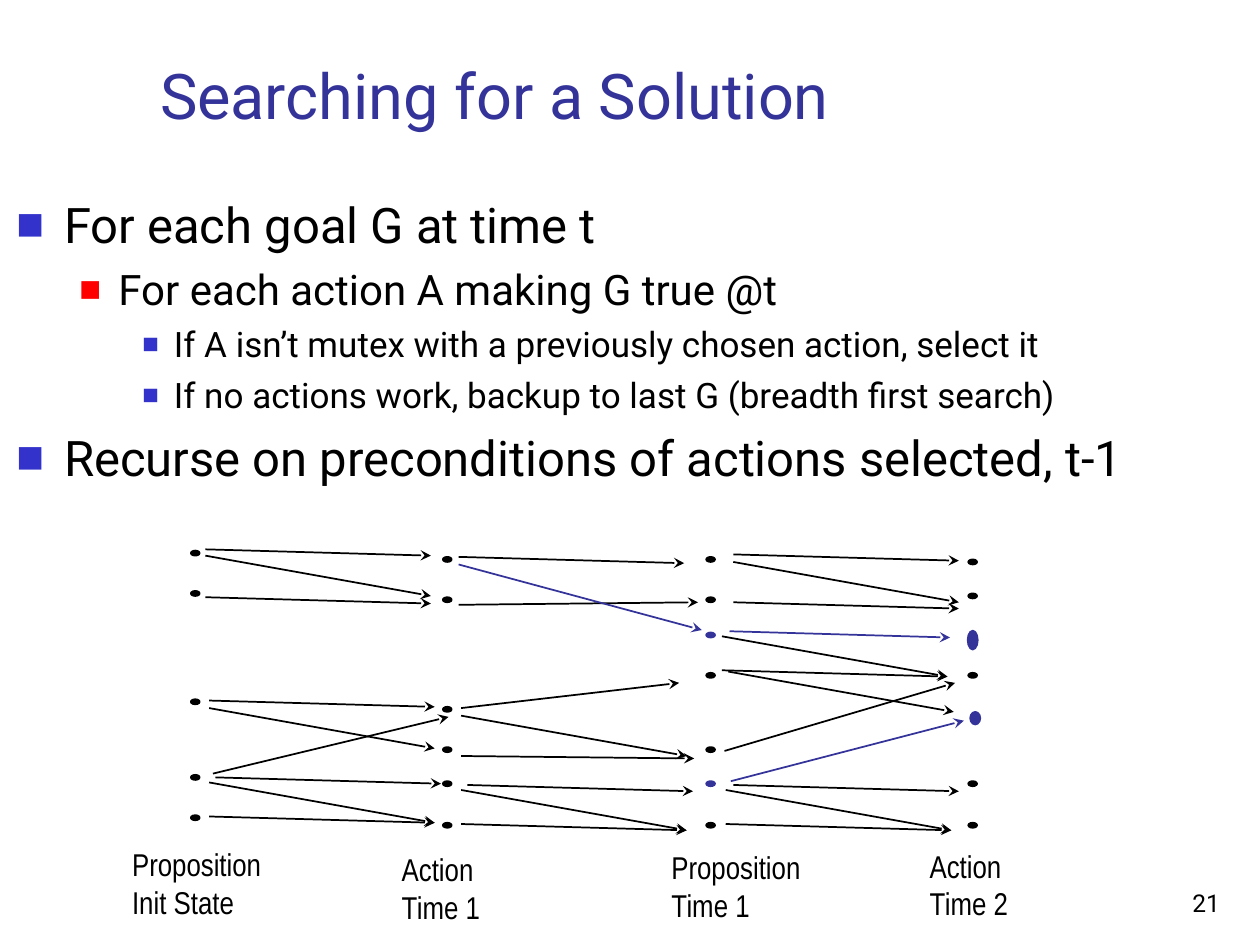
from lxml import etree
from pptx import Presentation
from pptx import util as u
from pptx.dml.color import RGBColor
from pptx.enum import shapes, text
from pptx.oxml.ns import qn

BLACK, NAVY, BLUE, RED = "000000", "333399", "3333CC", "FF0000"
WIDTH, HEIGHT = 10, 7.5

# Outline levels: text size, space before, left margin, hang, bullet colour, bullet percent
LEVELS = [(28, 7, 0.38, 0.38, BLUE, 60),
          (24, 6, 0.81, 0.31, RED, 55),
          (20, 5, 1.25, 0.25, BLUE, 50)]
OUTLINE = [(0, "For each goal G at time t"),
           (1, "For each action A making G true @t"),
           (2, "If A isn’t mutex with a previously chosen action, select it"),
           (2, "If no actions work, backup to last G (breadth first search)"),
           (0, "Recurse on preconditions of actions selected, t-1")]

# The planning graph has four layers, each a column of nodes
LAYERS = [1.55, 3.55, 5.64, 7.72]
DOT = (0.07, 0.04)
NODES = [[4.39, 4.71, 5.57, 6.17, 6.49],
         [4.44, 4.76, 5.63, 5.95, 6.22, 6.55],
         [4.44, 4.76, 5.36, 5.95, 6.55],
         [4.46, 4.73, 5.36, 6.22, 6.55]]
CHOSEN_NODES = [(5.64, 5.04, DOT), (5.64, 6.22, DOT),
                (7.72, 5.08, (0.08, 0.15)), (7.74, 5.7, (0.08, 0.1))]

# Arrows as layer, offset from the layer, and height of the start
GENTLE, STEEP = (1.79, 0.05), (1.79, 0.32)
GENTLE_STARTS = [(0, 0.08, 4.36), (0, 0.08, 4.74), (0, 0.11, 5.56),
                 (0, 0.16, 6.17), (0, 0.11, 6.48),
                 (1, 0.09, 4.42), (1, 0.16, 6.23), (1, 0.11, 6.54),
                 (2, 0.18, 4.4), (2, 0.18, 4.78), (2, 0.09, 5.32),
                 (2, 0.18, 6.23), (2, 0.12, 6.54)]
STEEP_STARTS = [(0, 0.08, 4.41), (0, 0.11, 5.62), (0, 0.11, 6.21),
                (1, 0.11, 5.68), (1, 0.11, 6.27),
                (2, 0.18, 4.46), (2, 0.09, 5.05), (2, 0.14, 5.33),
                (2, 0.12, 6.27)]
# Arrows with a run and drop of their own
OTHER_ARROWS = [(0, 0.14, 6.14, 1.87, -0.45, BLACK),
                (1, 0.09, 4.8, 1.9, -0.02, BLACK),
                (1, 0.09, 4.48, 1.93, 0.52, NAVY),
                (1, 0.11, 5.62, 1.73, -0.2, BLACK),
                (1, 0.11, 6, 1.85, 0.02, BLACK),
                (2, 0.11, 5.96, 1.83, -0.54, BLACK),
                (2, 0.15, 5.01, 1.75, 0.05, NAVY),
                (2, 0.16, 6.2, 1.85, -0.48, NAVY)]

LABELS = [(0.95, 6.66, 1.23, ["Proposition", "Init State"]),
          (3.09, 6.7, 0.83, ["Action", "Time 1"]),
          (5.23, 6.68, 1.23, ["Proposition", "Time 1"]),
          (7.28, 6.67, 0.83, ["Action", "Time 2"])]


def colour(value):
    return RGBColor.from_string(value)


def place(shape, left, top, width, height):
    shape.left, shape.top = u.Inches(left), u.Inches(top)
    shape.width, shape.height = u.Inches(width), u.Inches(height)


def add_span(para, words, size, font="Roboto", hue=BLACK):
    span = para.add_run()
    span.text = words
    span.font.size = u.Pt(size)
    span.font.name = font
    span.font.color.rgb = colour(hue)


def add_bullet(para, margin, hang, hue, percent):
    props = para._p.get_or_add_pPr()
    props.set("marL", str(u.Inches(margin)))
    props.set("indent", str(-u.Inches(hang)))
    tint = etree.SubElement(props, qn("a:buClr"))
    etree.SubElement(tint, qn("a:srgbClr"), val=hue)
    etree.SubElement(props, qn("a:buSzPct"), val=str(percent * 1000))
    etree.SubElement(props, qn("a:buFont"), typeface="Roboto")
    etree.SubElement(props, qn("a:buChar"), char="■")


def fill_title(title):
    place(title, 1.17, 0.5, 8.52, 0.5)
    frame = title.text_frame
    frame.auto_size = text.MSO_AUTO_SIZE.NONE
    frame.vertical_anchor = text.MSO_ANCHOR.MIDDLE
    para = frame.paragraphs[0]
    para.alignment = text.PP_ALIGN.LEFT
    add_span(para, "Searching for a Solution", 36, hue=NAVY)


def fill_outline(body):
    place(body, 0.03, 1.49, 9.95, 4.5)
    frame = body.text_frame
    frame.auto_size = text.MSO_AUTO_SIZE.NONE
    for index, (level, words) in enumerate(OUTLINE):
        para = frame.add_paragraph() if index else frame.paragraphs[0]
        size, before, margin, hang, hue, percent = LEVELS[level]
        para.level = level
        add_bullet(para, margin, hang, hue, percent)
        para.space_before = u.Pt(before if index else 0)
        add_span(para, words, size)


def add_node(page, x, y, size=DOT, hue=BLACK):
    """Draw an ellipse centred on x, y."""
    node = page.shapes.add_shape(shapes.MSO_SHAPE.OVAL, 0, 0, 0, 0)
    width, height = size
    place(node, x - width / 2, y - height / 2, width, height)
    node.shadow.inherit = False
    node.fill.solid()
    node.fill.fore_color.rgb = colour(hue)
    node.line.color.rgb = colour(hue)
    node.line.width = u.Pt(1)


def add_arrow(page, layer, offset, y, run, drop, hue=BLACK):
    x = LAYERS[layer] + offset
    ends = [u.Inches(value) for value in (x, y, x + run, y + drop)]
    arrow = page.shapes.add_connector(shapes.MSO_CONNECTOR.STRAIGHT, *ends)
    arrow.line.color.rgb = colour(hue)
    arrow.line.width = u.Pt(1)
    etree.SubElement(arrow.line._get_or_add_ln(), qn("a:tailEnd"), type="stealth")
    etree.SubElement(arrow._element.spPr, qn("a:effectLst"))


def add_graph(page):
    for x, column in zip(LAYERS, NODES):
        for y in column:
            add_node(page, x, y)
    for x, y, size in CHOSEN_NODES:
        add_node(page, x, y, size, NAVY)
    for slope, starts in ((GENTLE, GENTLE_STARTS), (STEEP, STEEP_STARTS)):
        for start in starts:
            add_arrow(page, *start, *slope)
    for arrow in OTHER_ARROWS:
        add_arrow(page, *arrow)


def add_label(page, left, top, width, lines):
    box = page.shapes.add_textbox(0, 0, 0, 0)
    place(box, left, top, width, 0.7)
    frame = box.text_frame
    frame.word_wrap = False
    frame.auto_size = text.MSO_AUTO_SIZE.SHAPE_TO_FIT_TEXT
    for index, words in enumerate(lines):
        para = frame.add_paragraph() if index else frame.paragraphs[0]
        add_span(para, words, 18, "Arial Narrow")


def add_page_number(page):
    box = page.shapes.add_textbox(0, 0, 0, 0)
    place(box, 7.7, 6.83, 2.08, 0.5)
    frame = box.text_frame
    frame.word_wrap = True
    frame.vertical_anchor = text.MSO_ANCHOR.BOTTOM
    para = frame.paragraphs[0]
    para.alignment = text.PP_ALIGN.RIGHT
    add_span(para, "21", 14)


def main():
    deck = Presentation()
    deck.slide_width, deck.slide_height = u.Inches(WIDTH), u.Inches(HEIGHT)
    page = deck.slides.add_slide(deck.slide_layouts[1])
    fill_title(page.shapes.title)
    fill_outline(page.placeholders[1])
    for label in LABELS:
        add_label(page, *label)
    add_graph(page)
    add_page_number(page)
    deck.save("out.pptx")


if __name__ == "__main__":
    main()
